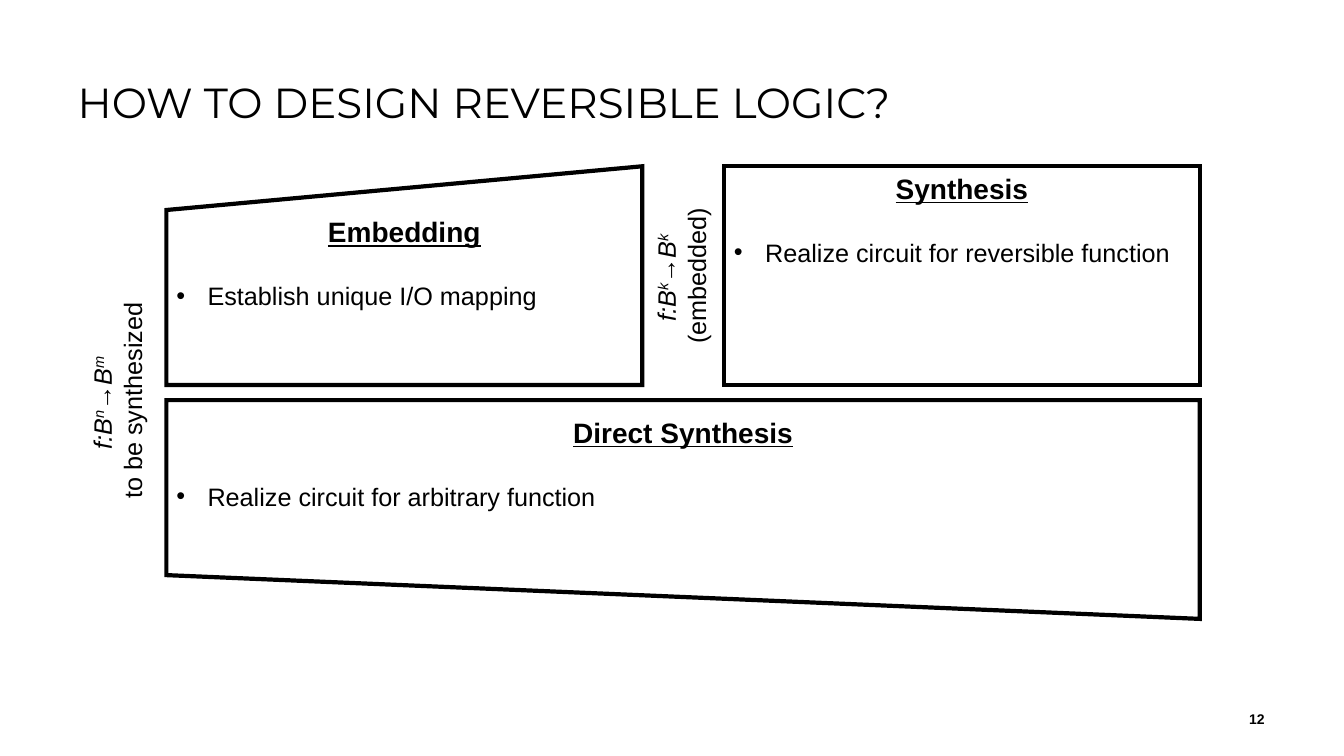
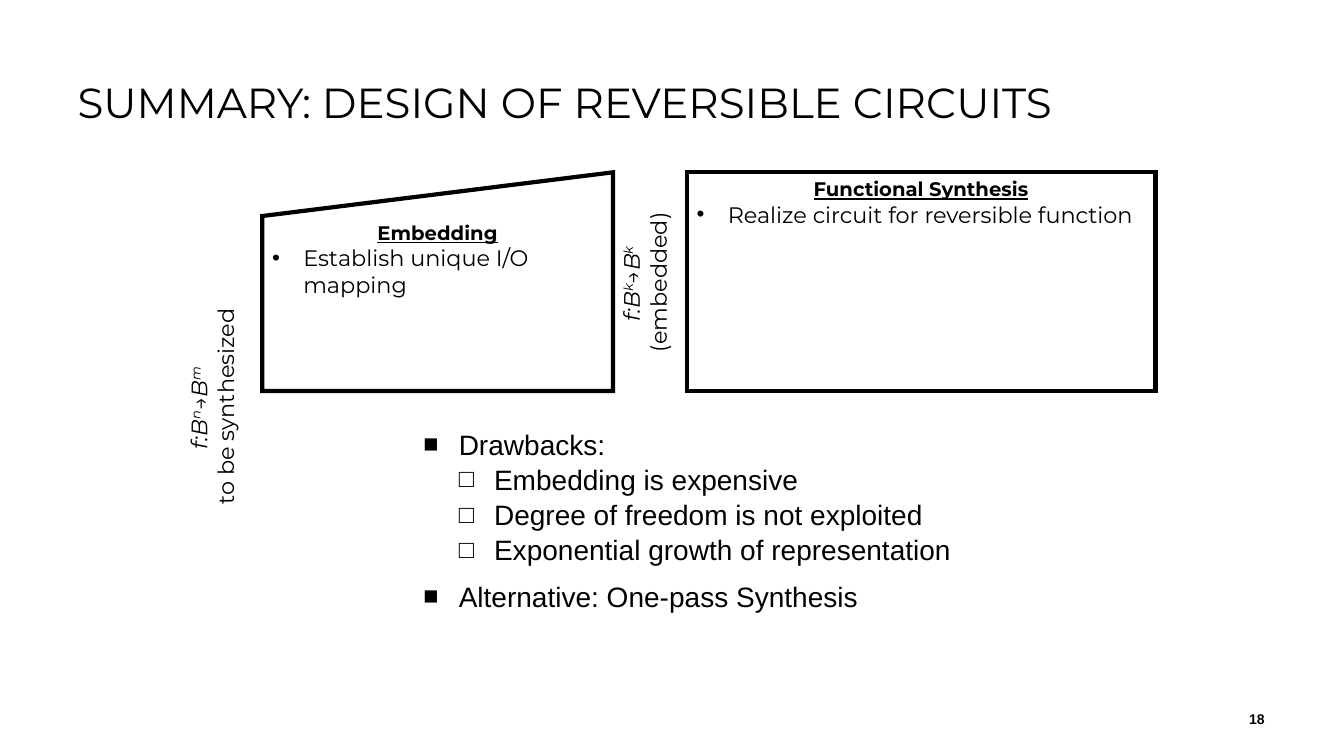
"""Build two slides on the design of reversible logic."""
from lxml import etree
from pptx import Presentation
from pptx.dml.color import RGBColor
from pptx.enum.shapes import MSO_SHAPE
from pptx.enum.text import MSO_ANCHOR, MSO_AUTO_SIZE, PP_ALIGN
from pptx.oxml.ns import qn
from pptx.util import Inches, Pt

RECTANGLE = MSO_SHAPE.RECTANGLE
MANUAL_INPUT = MSO_SHAPE.FLOWCHART_MANUAL_INPUT
TOP, MIDDLE = MSO_ANCHOR.TOP, MSO_ANCHOR.MIDDLE
LEFT, CENTER, RIGHT = PP_ALIGN.LEFT, PP_ALIGN.CENTER, PP_ALIGN.RIGHT
NO_AUTOFIT = MSO_AUTO_SIZE.NONE
TITLE_ONLY, TITLE_AND_CONTENT = 5, 1

BLACK = "000000"
BOX_HEIGHT = 2.17
SLANT = 0.2 * BOX_HEIGHT


def color(value):
    return RGBColor.from_string(value)


def write(paragraph, text, size=18, font="Arial", bold=False, italic=False,
          underline=False, superscript=False, align=None, bullet=None,
          bullet_size=100, margin=0.31, hanging=0.31):
    run = paragraph.add_run()
    run.text = text
    run.font.size = Pt(size)
    run.font.name = font
    run.font.bold = bold
    run.font.italic = italic
    run.font.underline = underline
    run.font.color.rgb = color(BLACK)
    if superscript:
        run.font._element.set("baseline", "30000")
    if align is not None:
        paragraph.alignment = align
    if bullet:
        properties = paragraph._p.get_or_add_pPr()
        properties.set("marL", str(Inches(margin)))
        properties.set("indent", str(-Inches(hanging)))
        etree.SubElement(properties, qn("a:buSzPct"), val=str(bullet_size * 1000))
        etree.SubElement(properties, qn("a:buFont"), typeface="Arial")
        etree.SubElement(properties, qn("a:buChar"), char=bullet)


slide_specs = [
    {
        "title": "HOW TO DESIGN REVERSIBLE LOGIC?", "number": "12",
        "layout": TITLE_ONLY, "font": "Arial",
        "heading_size": 20, "text_size": 18, "gap": 23, "box_top": 1.65,
        "boxes": [
            (MANUAL_INPUT, 1.65, 4.72, "Embedding", "Establish unique I/O mapping"),
            (RECTANGLE, 7.18, 4.72, "Synthesis", "Realize circuit for reversible function"),
            (None, 1.65, 10.25, "Direct Synthesis", "Realize circuit for arbitrary function"),
        ],
        "labels": [
            (0.08, 3.62, 2.17, 0.71, "n", "m", "to be synthesized"),
            (5.98, 2.38, 1.56, 0.71, "k", "k", "(embedded)"),
        ],
        "points": [],
    },
    {
        "title": "SUMMARY: DESIGN OF REVERSIBLE CIRCUITS", "number": "18",
        "layout": TITLE_AND_CONTENT, "font": "Montserrat",
        "heading_size": 14, "text_size": 16, "gap": 0, "box_top": 1.71,
        "boxes": [
            (MANUAL_INPUT, 2.6, 3.48, "Embedding", "Establish unique I/O mapping"),
            (RECTANGLE, 6.81, 4.65, "Functional Synthesis", "Realize circuit for reversible function"),
        ],
        "labels": [
            (0.93, 3.71, 2.35, 0.64, "n", "m", "to be synthesized"),
            (5.57, 2.48, 1.65, 0.64, "k", "k", "(embedded)"),
        ],
        "points": [
            (0, "Drawbacks:"),
            (1, "Embedding is expensive"),
            (1, "Degree of freedom is not exploited"),
            (1, "Exponential growth of representation"),
            (0, "Alternative: One-pass Synthesis"),
        ],
    },
]

presentation = Presentation()
presentation.slide_width = Inches(13.33)
presentation.slide_height = Inches(7.5)

for spec in slide_specs:
    slide = presentation.slides.add_slide(presentation.slide_layouts[spec["layout"]])
    shapes = slide.shapes
    font, text_size = spec["font"], spec["text_size"]

    title = shapes.title
    title.left, title.top = Inches(0.67), Inches(0.79)
    title.width, title.height = Inches(11.87), Inches(0.96)
    title.text_frame.vertical_anchor = TOP
    title.text_frame.auto_size = NO_AUTOFIT
    title_paragraph = title.text_frame.paragraphs[0]
    title_paragraph.line_spacing = 0.83
    write(title_paragraph, spec["title"], size=30, font="Montserrat", align=LEFT)

    for outline, left, width, heading, point in spec["boxes"]:
        if outline is None:
            top, right = 3.97, left + width
            bottom = top + BOX_HEIGHT
            builder = shapes.build_freeform(Inches(left), Inches(top))
            builder.add_line_segments([
                (Inches(right), Inches(top)),
                (Inches(right), Inches(bottom)),
                (Inches(left), Inches(bottom - SLANT)),
            ])
            box = builder.convert_to_shape()
            box.text_frame.margin_top = Inches(0.15)
        else:
            box = shapes.add_shape(outline, Inches(left), Inches(spec["box_top"]),
                                   Inches(width), Inches(BOX_HEIGHT))
        box.shadow.inherit = False
        box.fill.background()
        box.line.color.rgb = color(BLACK)
        box.line.width = Pt(3)
        etree.SubElement(box._element.spPr.find(qn("a:ln")), qn("a:miter"), lim="800000")
        frame = box.text_frame
        frame.word_wrap = True
        frame.vertical_anchor = TOP
        write(frame.paragraphs[0], heading, size=spec["heading_size"], font=font,
              bold=True, underline=True, align=CENTER)
        paragraph = frame.add_paragraph()
        paragraph.space_before = Pt(spec["gap"])
        write(paragraph, point, size=text_size, font=font, align=LEFT, bullet="•")

    for left, top, width, height, inputs, outputs, caption in spec["labels"]:
        label = shapes.add_textbox(Inches(left), Inches(top), Inches(width), Inches(height))
        label.rotation = 270
        label.text_frame.word_wrap = False
        paragraph = label.text_frame.paragraphs[0]
        for text, raised in [("f:B", False), (inputs, True), ("→B", False), (outputs + " ", True)]:
            write(paragraph, text, size=text_size, font=font, italic=True,
                  superscript=raised, align=CENTER)
        paragraph.add_line_break()
        write(paragraph, caption, size=text_size, font=font)

    if spec["points"]:
        body = slide.placeholders[1]
        body.left, body.top = Inches(4.1), Inches(4.17)
        body.width, body.height = Inches(6.95), Inches(1.97)
        frame = body.text_frame
        frame.auto_size = NO_AUTOFIT
        for index, (level, text) in enumerate(spec["points"]):
            paragraph = frame.add_paragraph() if index else frame.paragraphs[0]
            paragraph.level = level
            paragraph.line_spacing = 1.05
            paragraph.space_before = Pt(0 if level else 8)
            write(paragraph, text, size=20, bullet="■□"[level], bullet_size=90,
                  margin=0.35 * (level + 1), hanging=0.35)

    number = shapes.add_textbox(Inches(11.89), Inches(6.93), Inches(0.75), Inches(0.4))
    number.text_frame.word_wrap = True
    number.text_frame.vertical_anchor = MIDDLE
    write(number.text_frame.paragraphs[0], spec["number"], size=10, bold=True, align=RIGHT)

presentation.save("out.pptx")
